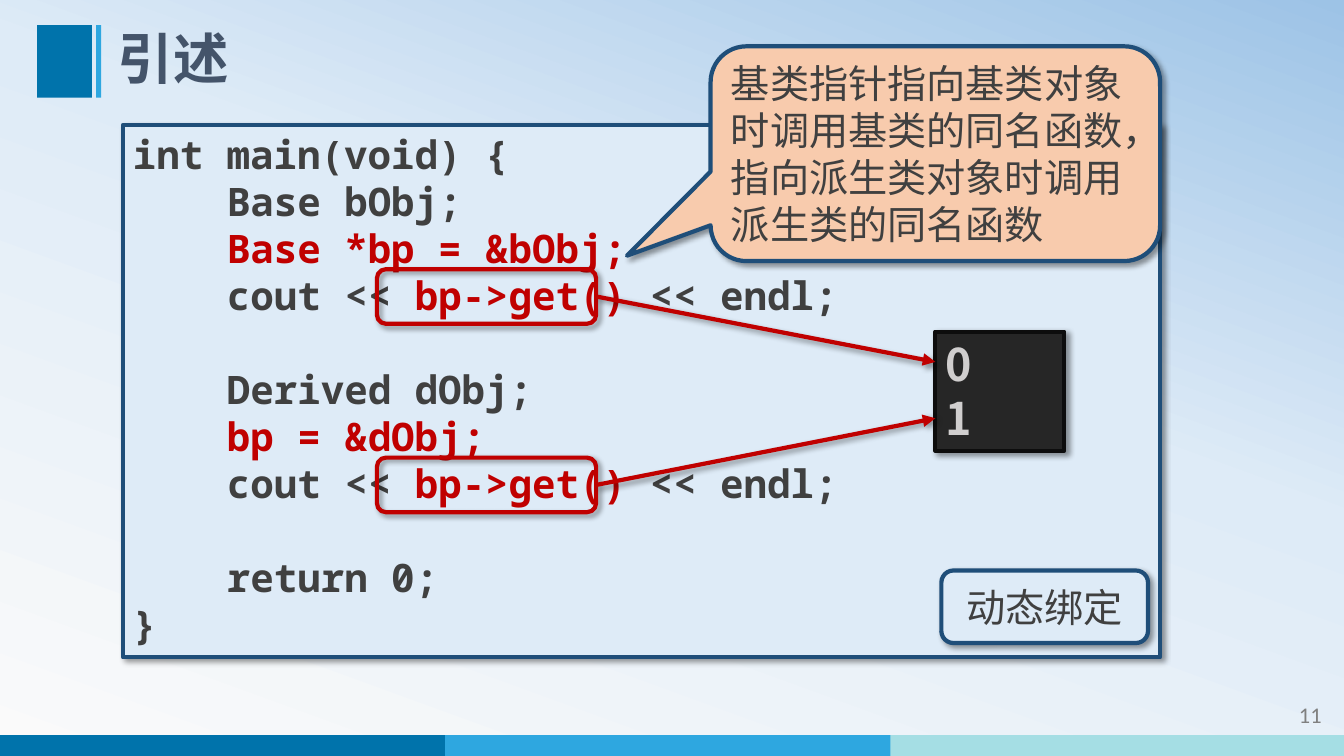
import pptx
import pptx.dml.color
import pptx.enum.dml
import pptx.enum.shapes
import pptx.enum.text
import pptx.oxml
import pptx.oxml.ns
import pptx.util
from lxml import etree

Pt = pptx.util.Pt
qn = pptx.oxml.ns.qn
SHAPES = pptx.enum.shapes.MSO_SHAPE
ALIGN = pptx.enum.text.PP_ALIGN
ANCHOR = pptx.enum.text.MSO_ANCHOR

COLORS = {
    "white": "FAFAFA", "pale": "DEEBF7", "sky": "9DC3E6",
    "blue": "0073AB", "azure": "2EA7E0", "aqua": "A5DEE4",
    "title": "44546A", "number": "808080", "text": "404040",
    "red": "C00000", "navy": "1F4E79", "peach": "F8CBAD",
    "console": "262626", "frame": "0D0D0D", "output": "D0CECE",
    "shadow": "000000",
}
SANS, MONO = "Noto Sans CJK SC", "Noto Sans Mono"
LINE_HEIGHT = 33.65
INDENT = 67.2  # four characters of the code font

# Each code line: indent level, blank lines before it, then (text, color) runs.
CALL = [("cout << ", "text"), ("bp->get() ", "red"), ("<< endl;", "text")]
CODE = [
    (0, 0, [("int main(void) {", "text")]),
    (1, 0, [("Base bObj;", "text")]),
    (1, 0, [("Base *bp = &bObj;", "red")]),
    (1, 0, CALL),
    (1, 1, [("Derived dObj;", "text")]),
    (1, 0, [("bp = &dObj;", "red")]),
    (1, 0, CALL),
    (1, 1, [("return 0;", "text")]),
    (0, 0, [("}", "text")]),
]


def rgb(color):
    """Return the named color as an RGBColor."""
    return pptx.dml.color.RGBColor.from_string(COLORS[color])


def within(box, left, top, width, height):
    """Turn a place relative to a box into a place on the slide."""
    return box[0] + left, box[1] + top, width, height


def format_run(run, size, color, font=SANS, bold=False):
    """Set size, color and both Latin and East Asian typefaces of a run."""
    run.font.size, run.font.bold, run.font.name = Pt(size), bold, font
    run.font.color.rgb = rgb(color)
    east_asian = etree.Element(qn("a:ea"), typeface=font)
    run.font._element.find(qn("a:latin")).addnext(east_asian)


def write(text_frame, text, size, color, font=SANS, bold=False, align=ALIGN.LEFT):
    """Fill a text frame with uniformly formatted paragraphs."""
    text_frame.word_wrap = True
    text_frame.text = text
    for paragraph in text_frame.paragraphs:
        paragraph.alignment = align
        for run in paragraph.runs:
            format_run(run, size, color, font, bold)


def add_shadow(shape):
    """Give a shape or connector the soft shadow at lower right."""
    properties = shape._element.spPr
    effects = etree.SubElement(properties, qn("a:effectLst"))
    shadow = etree.SubElement(
        effects, qn("a:outerShdw"), blurRad=str(Pt(4)), dist=str(Pt(3)),
        dir="2700000", algn="tl", rotWithShape="0")
    color = etree.SubElement(shadow, qn("a:srgbClr"), val=COLORS["shadow"])
    etree.SubElement(color, qn("a:alpha"), val="40000")


def add_box(slide, kind, box, fill=None, line=None):
    """Add a preset shape; outlined shapes also cast a shadow."""
    shape = slide.shapes.add_shape(kind, *map(Pt, box))
    if fill:
        shape.fill.solid()
        shape.fill.fore_color.rgb = rgb(fill)
    else:
        shape.fill.background()
    if line:
        shape.line.color.rgb = rgb(line)
        shape.line.width = Pt(3)
        add_shadow(shape)
    else:
        shape.line.fill.background()
        shape.shadow.inherit = False
    return shape


def add_arrow(slide, start, end):
    """Add a red arrow between two points."""
    arrow = slide.shapes.add_connector(
        pptx.enum.shapes.MSO_CONNECTOR.STRAIGHT, *map(Pt, start + end))
    arrow.line.color.rgb = rgb("red")
    arrow.line.width = Pt(3)
    etree.SubElement(arrow.line._get_or_add_ln(), qn("a:tailEnd"), type="triangle")
    add_shadow(arrow)


def set_background(slide):
    """Paint the three-stop diagonal gradient."""
    fill = slide.background.fill
    fill.gradient()
    fill.gradient_angle = 70
    stops = next(slide._element.iter(qn("a:gsLst")))
    for stop in list(stops):
        stops.remove(stop)
    for position, color in ((0, "white"), (58, "pale"), (100, "sky")):
        stop = etree.SubElement(stops, qn("a:gs"), pos=str(position * 1000))
        etree.SubElement(stop, qn("a:srgbClr"), val=COLORS[color])


def add_header(slide, box):
    """Place the title and the two blocks at its left."""
    height = box[3]
    add_box(slide, SHAPES.RECTANGLE, within(box, 0, 0, 39, height), "blue")
    add_box(slide, SHAPES.RECTANGLE, within(box, 42, 0, 3.6, height), "azure")
    title = slide.shapes.title
    title.left, title.top, title.width, title.height = map(
        Pt, within(box, 50.4, 0, box[2] - 50.4, height))
    frame = title.text_frame
    write(frame, "引述", 39.6, "title", bold=True)
    frame.auto_size = pptx.enum.text.MSO_AUTO_SIZE.NONE
    frame.vertical_anchor = ANCHOR.MIDDLE
    frame.paragraphs[0].line_spacing = 0.9


def add_footer(slide, box):
    """Place the three-color strip and the page number above it."""
    for index, color in enumerate(("blue", "azure", "aqua")):
        bar = within(box, index * 318, 0, 324, box[3])
        add_box(slide, SHAPES.RECTANGLE, bar, color)
    number = slide.shapes.add_textbox(*map(Pt, within(box, 836.6, -27.4, 114.5, 28.8)))
    write(number.text_frame, "11", 16, "number", "Calibri", align=ALIGN.RIGHT)


def add_code(slide, box):
    """Place the code panel with its indented, two-colored lines."""
    panel = add_box(slide, SHAPES.RECTANGLE, box, "pale", "navy")
    frame = panel.text_frame
    frame.word_wrap = True
    frame.vertical_anchor = ANCHOR.TOP
    for index, (level, blanks, pieces) in enumerate(CODE):
        paragraph = frame.add_paragraph() if index else frame.paragraphs[0]
        paragraph.alignment = ALIGN.LEFT
        paragraph.space_before = Pt(blanks * LINE_HEIGHT)
        paragraph._p.get_or_add_pPr().set("marL", str(Pt(level * INDENT)))
        for text, color in pieces:
            run = paragraph.add_run()
            run.text = text
            format_run(run, 28, color, MONO, True)


def add_notes_on_code(slide, box):
    """Place console, callouts, highlights and arrows over the code panel."""
    console_box = within(box, 580.3, 147.6, 92.2, 85)
    console = add_box(slide, SHAPES.RECTANGLE, console_box, "console", "frame")
    write(console.text_frame, "0\n1", 32, "output", bold=True)
    console.text_frame.vertical_anchor = ANCHOR.TOP

    callouts = (
        ((419.8, -56.2, 321.1, 153.4), (-0.686, 0.475), "peach", ALIGN.LEFT,
         "基类指针指向基类对象时调用基类的同名函数，指向派生类对象时调用派生类的同名函数"),
        ((584.6, 318.2, 147.6, 51.8), (-0.188, 0.499), "pale", ALIGN.CENTER,
         "动态绑定"),
    )
    for place, tip, fill, align, text in callouts:
        callout = add_box(slide, SHAPES.ROUNDED_RECTANGULAR_CALLOUT,
                          within(box, *place), fill, "navy")
        callout.adjustments[0], callout.adjustments[1] = tip
        write(callout.text_frame, text, 28, "text", align=align)
        callout.text_frame.vertical_anchor = ANCHOR.MIDDLE

    for top, target in ((103, 21.6), (237.6, 61.9)):
        highlight = within(box, 181.4, top, 156.6, 39)
        add_box(slide, SHAPES.ROUNDED_RECTANGLE, highlight, line="red")
        left, upper, width, height = highlight
        add_arrow(slide, (left + width, upper + height / 2),
                  (console_box[0], console_box[1] + target))


presentation = pptx.Presentation()
presentation.slide_width, presentation.slide_height = Pt(960), Pt(540)
slide = presentation.slides.add_slide(presentation.slide_layouts[5])
code_box = (87.8, 89.3, 740.9, 380.2)
set_background(slide)
add_footer(slide, (0, 525, 960, 15))
add_header(slide, (26.6, 18, 832.4, 51.8))
add_code(slide, code_box)
add_notes_on_code(slide, code_box)
presentation.save("out.pptx")
